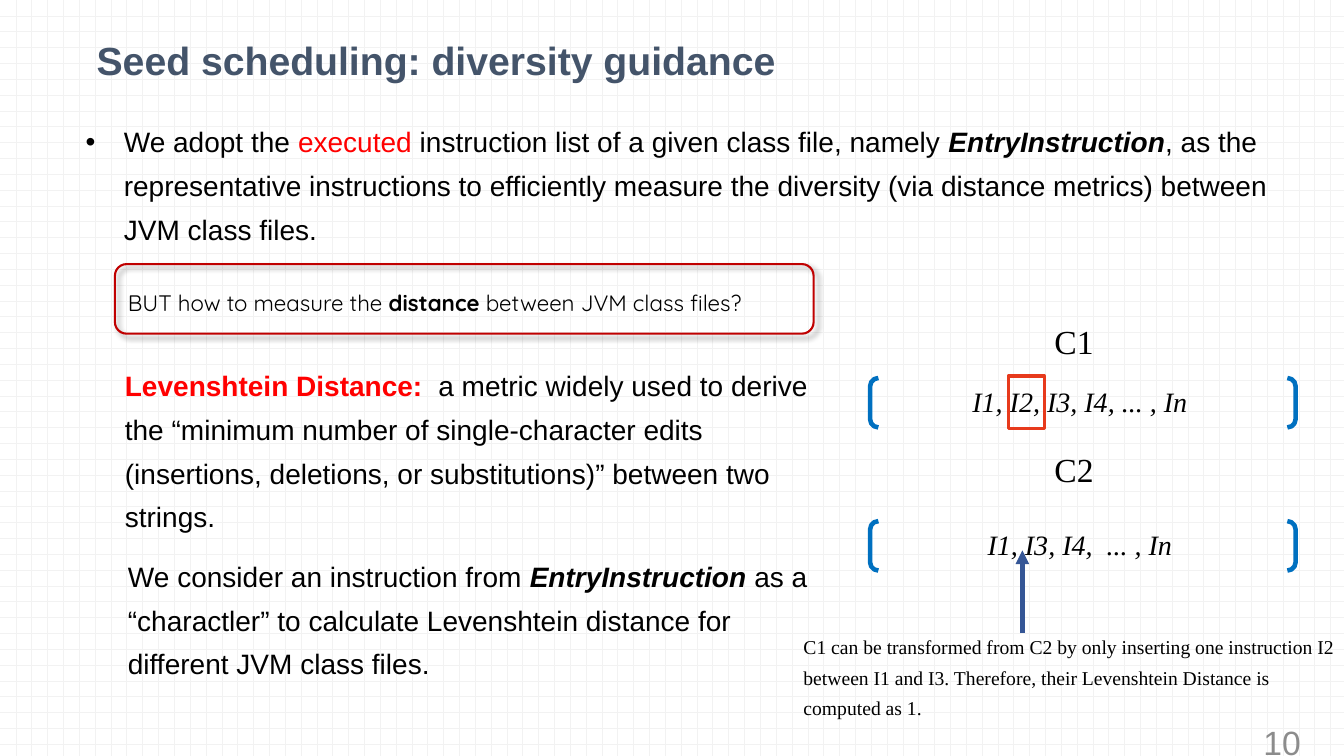
from lxml import etree
from pptx import Presentation
from pptx.dml.color import RGBColor
from pptx.enum.dml import MSO_PATTERN
from pptx.enum.shapes import MSO_CONNECTOR, MSO_SHAPE
from pptx.enum.text import MSO_ANCHOR, MSO_AUTO_SIZE, PP_ALIGN
from pptx.oxml.ns import qn
from pptx.util import Inches, Pt

DOTS = MSO_PATTERN.DOTTED_GRID
ROUND = MSO_SHAPE.ROUNDED_RECTANGLE
PAIR = MSO_SHAPE.DOUBLE_BRACKET
RECT = MSO_SHAPE.RECTANGLE
LINE = MSO_CONNECTOR.STRAIGHT
GROW = MSO_AUTO_SIZE.SHAPE_TO_FIT_TEXT
FIXED = MSO_AUTO_SIZE.NONE
MIDDLE = MSO_ANCHOR.MIDDLE
TOP = MSO_ANCHOR.TOP
LEFT, CENTER, RIGHT = PP_ALIGN.LEFT, PP_ALIGN.CENTER, PP_ALIGN.RIGHT

COLS, ROWS = 133.3, 75
SANS, SERIF, ROUNDED = "Arial", "Times New Roman", "Quicksand"
HEX = {
    "ink": "000000", "title": "44546A", "page": "8C8C8C", "grid": "F2F2F2",
    "paper": "FFFFFF", "red": "FF0000", "frame": "C00000",
    "bracket": "0070C0", "arrow": "355696", "mark": "E73A1C",
}


def color(name):
    return RGBColor.from_string(HEX[name])


def write(para, text, size=20, font=SANS, ink="ink", bold=False, italic=False):
    run = para.add_run()
    run.text = text
    face = run.font
    face.size, face.name = Pt(size), font
    face.bold, face.italic = bold, italic
    face.color.rgb = color(ink)


class Deck:
    def __init__(self):
        self.show = Presentation()
        self.show.slide_width = Inches(13.33)
        self.show.slide_height = Inches(7.5)
        self.col = self.show.slide_width / COLS
        self.row = self.show.slide_height / ROWS
        self.slide = self.show.slides.add_slide(self.show.slide_layouts[6])
        self.home = self.slide.shapes

    def back(self):
        fill = self.slide.background.fill
        fill.patterned()
        fill.pattern = DOTS
        fill.fore_color.rgb = color("grid")
        fill.back_color.rgb = color("paper")

    def group(self):
        self.home = self.slide.shapes.add_group_shape().shapes

    def leave(self):
        self.home = self.slide.shapes

    def place(self, *spots):
        return [round(spot * (self.row if odd % 2 else self.col))
                for odd, spot in enumerate(spots)]

    def text(self, box, *runs, align=LEFT, anchor=TOP, wrap=True, fit=GROW,
             lead=None, gap=None, bullet=None, **style):
        frame = self.home.add_textbox(*self.place(*box)).text_frame
        frame.word_wrap, frame.auto_size = wrap, fit
        frame.vertical_anchor = anchor
        para = frame.paragraphs[0]
        para.alignment = align
        if lead:
            para.line_spacing = lead
        if gap:
            para.space_before = Pt(gap)
        if bullet:
            props = para._p.get_or_add_pPr()
            props.set("marL", str(Inches(0.38)))
            props.set("indent", str(-Inches(0.38)))
            etree.SubElement(props, qn("a:buFont"), typeface=SANS)
            etree.SubElement(props, qn("a:buChar"), char=bullet)
        for words, extra in runs:
            write(para, words, **{**style, **extra})

    def body(self, box, *runs, **style):
        self.text(box, *runs, **{"lead": 1.3, "gap": 6, **style})

    def shape(self, kind, box, ink, width, shade=False):
        item = self.home.add_shape(kind, *self.place(*box))
        item.fill.background()
        item.line.color.rgb = color(ink)
        item.line.width = Pt(width)
        item.shadow.inherit = False
        if shade:
            effects = item._element.spPr.find(qn("a:effectLst"))
            drop = etree.SubElement(
                effects, qn("a:outerShdw"), blurRad=str(Pt(4)),
                dist=str(Pt(3)), dir="2700000", algn="tl", rotWithShape="0")
            tone = etree.SubElement(drop, qn("a:srgbClr"), val=HEX["ink"])
            etree.SubElement(tone, qn("a:alpha"), val="40000")

    def arrow(self, ends, ink, width):
        item = self.home.add_connector(LINE, *self.place(*ends))
        item.line.color.rgb = color(ink)
        item.line.width = Pt(width)
        props = item._element.spPr
        etree.SubElement(props.find(qn("a:ln")), qn("a:tailEnd"), type="triangle")
        etree.SubElement(props, qn("a:effectLst"))

    def list(self, name, items, top, label, line):
        self.group()
        self.shape(PAIR, (86.3, top, 42.2, 4.9), "bracket", 3.25)
        self.text((103.6, label, 5.9, 5), (name, {}), size=24, font=SERIF, wrap=False)
        self.text((93.2, line, 28.5, 4.4), (items, {}),
                  font=SERIF, italic=True, align=CENTER)
        self.leave()


def main():
    strong = {"bold": True, "italic": True}
    deck = Deck()
    deck.back()
    deck.text((100, 71.6, 30, 4), ("10", {}), size=24, ink="page",
              align=RIGHT, anchor=MIDDLE, fit=FIXED)
    deck.text((8.6, 1.7, 106.2, 7.1), ("Seed scheduling: diversity guidance", {}),
              size=28, ink="title", bold=True, lead=1.3)
    deck.body((7.5, 10.9, 123.3, 14.1),
              ("We adopt the ", {}),
              ("executed ", {"ink": "red"}),
              ("instruction list of a given class file, namely ", {}),
              ("EntryInstruction", strong),
              (", as the representative instructions to efficiently measure the "
               "diversity (via distance metrics) between JVM class files.", {}),
              bullet="•")

    deck.group()
    deck.body((11.7, 27.4, 71.8, 4.5),
              ("BUT how to measure the ", {}),
              ("distance ", {"bold": True}),
              ("between JVM class files?", {}),
              size=16, font=ROUNDED)
    deck.shape(ROUND, (11.4, 26.2, 69.3, 6.9), "frame", 1.5, shade=True)
    deck.leave()

    deck.body((11.4, 35.1, 70.5, 19.5),
              ("Levenshtein Distance:", {"ink": "red", "bold": True}),
              ("  a metric widely used to derive the “minimum number of "
               "single-character edits (insertions, deletions, or substitutions)” "
               "between two strings.", {}),
              fit=FIXED)
    deck.body((11.7, 54, 70.5, 19.5),
              ("We consider an instruction from ", {}),
              ("EntryInstruction ", strong),
              ("as a “charactler” to calculate Levenshtein distance for "
               "different JVM class files.", {}),
              fit=FIXED)

    deck.list("C1", "I1, I2, I3, I4, ... , In ", 37.5, 31.3, 37.7)
    deck.list("C2", "I1, I3, I4,  ... , In ", 51.7, 44, 51.8)
    deck.arrow((101.4, 62.8, 101.4, 54.6), "arrow", 3.25)
    deck.shape(RECT, (100, 37.3, 3.6, 5.2), "mark", 2.25)
    deck.body((78.7, 61.8, 55.1, 13.1),
              ("C1 can be transformed from C2 by only inserting one instruction I2 "
               "between I1 and I3. Therefore, their Levenshtein Distance is "
               "computed as 1.", {}),
              size=14, font=SERIF, fit=FIXED)
    deck.show.save("out.pptx")


if __name__ == "__main__":
    main()
